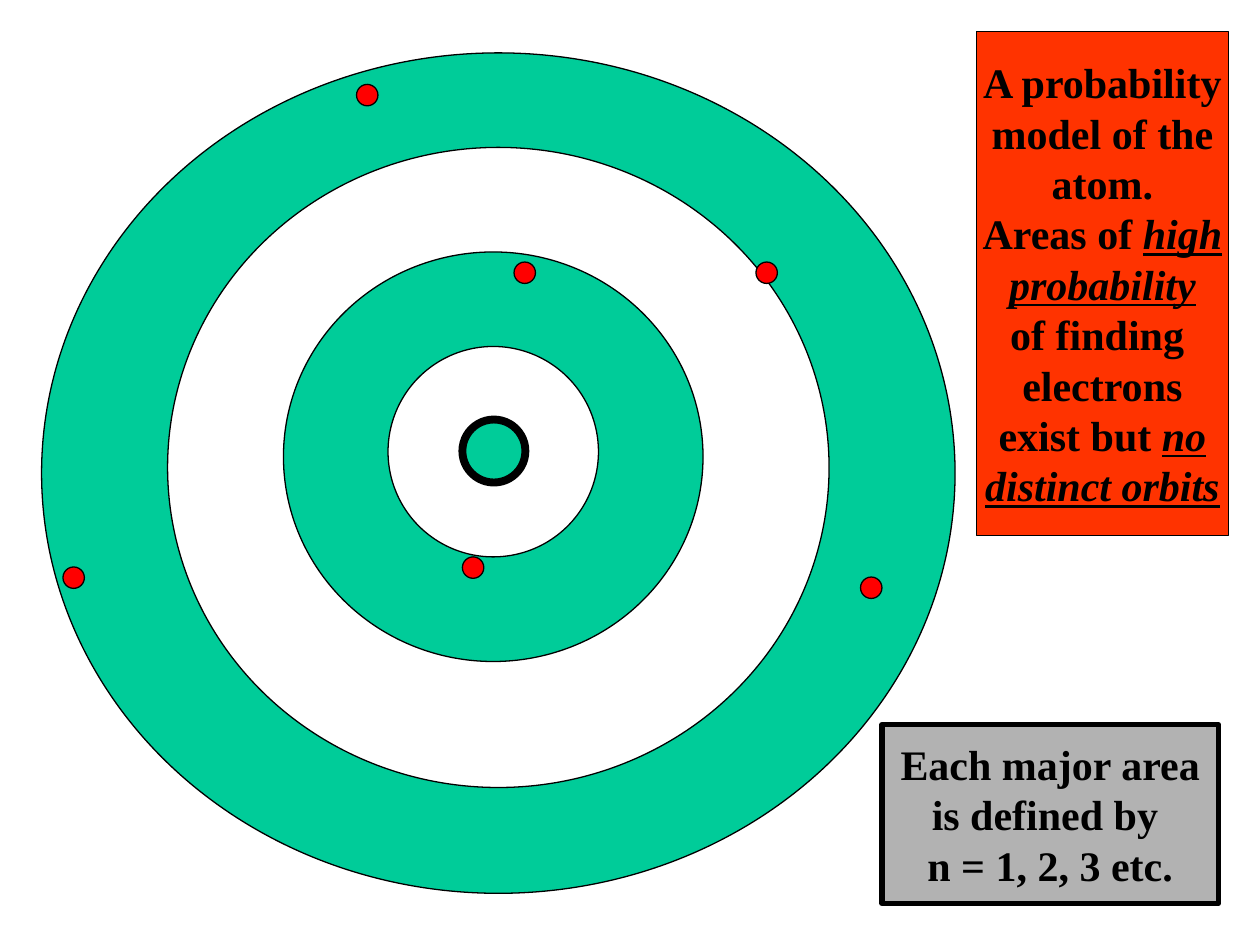
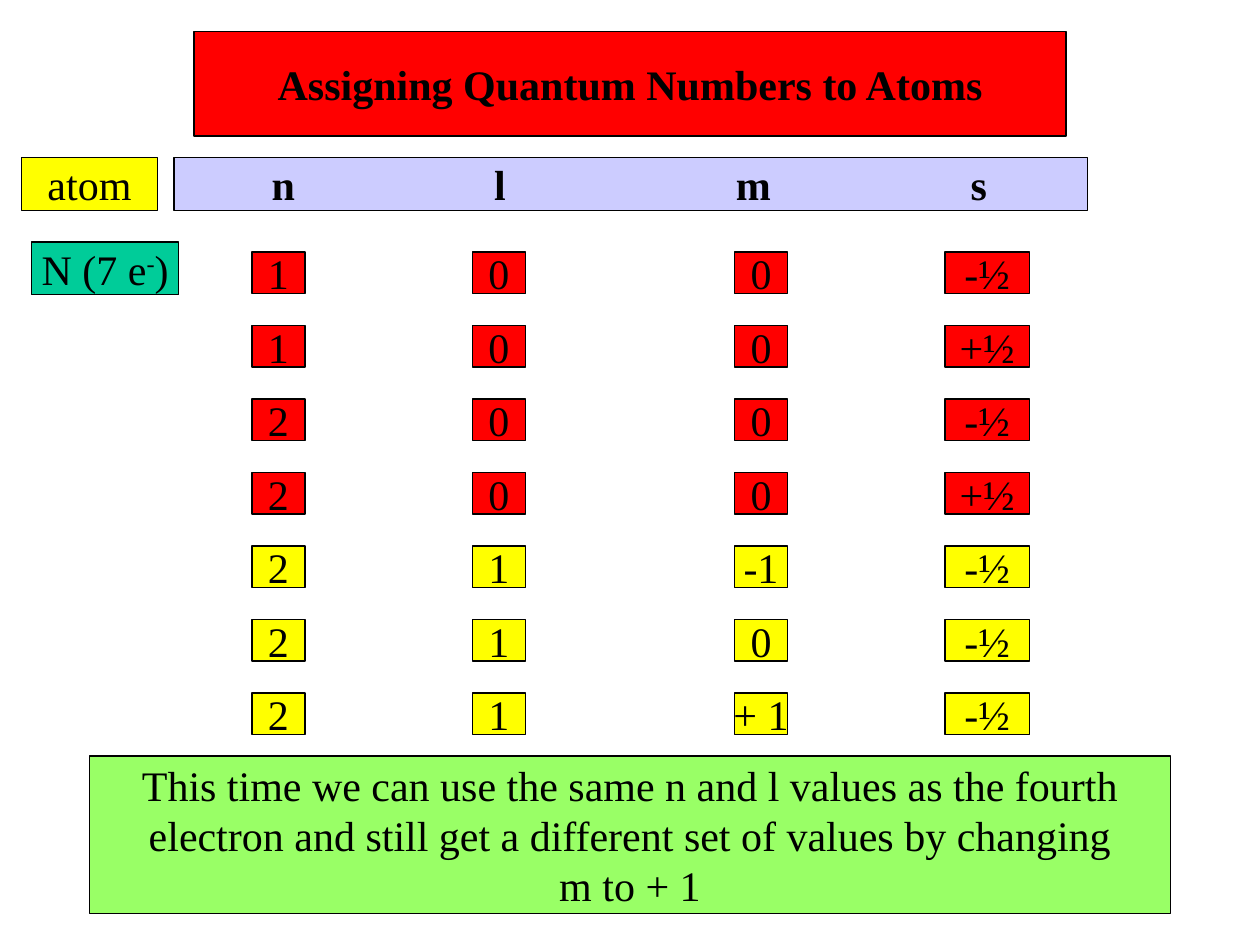
from dataclasses import dataclass

from lxml import etree
from pptx import Presentation
from pptx.dml.color import RGBColor
from pptx.enum.shapes import MSO_SHAPE
from pptx.enum.text import MSO_ANCHOR, MSO_AUTO_SIZE, PP_ALIGN
from pptx.oxml.ns import qn
from pptx.util import Inches, Pt

OVAL, RECTANGLE = MSO_SHAPE.OVAL, MSO_SHAPE.RECTANGLE
MIDDLE, NO_FIT = MSO_ANCHOR.MIDDLE, MSO_AUTO_SIZE.NONE
CENTER, LEFT = PP_ALIGN.CENTER, PP_ALIGN.LEFT
TITLE_ONLY, BLANK = 5, 6  # layouts of the default template


@dataclass(frozen=True)
class Theme:
    font: str = "Times New Roman"
    size: float = 24
    thin: float = 0.75
    medium: float = 3
    thick: float = 4.5
    black: str = "000000"
    white: str = "FFFFFF"
    teal: str = "00CC99"
    red: str = "FF0000"
    orange: str = "FF3300"
    yellow: str = "FFFF00"
    gray: str = "B2B2B2"
    lavender: str = "CCCCFF"
    green: str = "99FF66"


class Deck:
    """Holds the style and the current slide."""

    def __init__(self, theme):
        self.theme = theme
        self.deck = Presentation()
        self.deck.slide_width = Inches(10)
        self.deck.slide_height = Inches(7.5)
        self.page = None

    def new_page(self, layout):
        self.page = self.deck.slides.add_slide(self.deck.slide_layouts[layout])

    def paint(self, shape, fill, width):
        """Give a shape a flat fill and a black outline."""
        shape.shadow.inherit = False
        shape.fill.solid()
        shape.fill.fore_color.rgb = RGBColor.from_string(fill)
        shape.line.color.rgb = RGBColor.from_string(self.theme.black)
        shape.line.width = Pt(width)

    def set_text(self, box, lines, bold=False, align=CENTER, wrap=False):
        """Fill in lines; each is a string or a list of (text, style) spans."""
        frame = box.text_frame
        frame.word_wrap = wrap
        frame.auto_size = NO_FIT
        frame.vertical_anchor = MIDDLE
        frame.margin_left = frame.margin_right = Inches(0.1)
        frame.margin_top = frame.margin_bottom = Inches(0.05)
        for number, line in enumerate(lines):
            para = frame.add_paragraph() if number else frame.paragraphs[0]
            para.alignment = align
            spans = [(line, "")] if isinstance(line, str) else line
            for text, style in spans:
                span = para.add_run()
                span.text = text
                font = span.font
                font.name = self.theme.font
                font.size = Pt(self.theme.size)
                font.bold = bold
                font.color.rgb = RGBColor.from_string(self.theme.black)
                if style == "stress":
                    font.italic = font.underline = True
                elif style == "super":
                    span._r.get_or_add_rPr().set("baseline", "30000")

    def title(self, text, left, top, width, height, fill):
        box = self.page.shapes.title
        box.left, box.top = Inches(left), Inches(top)
        box.width, box.height = Inches(width), Inches(height)
        self.paint(box, fill, self.theme.thin)
        self.set_text(box, [text], bold=True)

    def box(self, lines, left, top, width, height, fill, line=None, **text_style):
        box = self.page.shapes.add_shape(
            RECTANGLE, Inches(left), Inches(top), Inches(width), Inches(height))
        self.paint(box, fill, line or self.theme.thin)
        self.set_text(box, lines, **text_style)
        return box

    def column_header(self, labels, centers, left, top, width, height, fill):
        """A band whose labels stand on centred tab stops."""
        text = "".join("\t" + label for label in labels)
        box = self.box([text], left, top, width, height, fill,
                       bold=True, align=LEFT, wrap=True)
        properties = box.text_frame.paragraphs[0]._p.get_or_add_pPr()
        stops = etree.SubElement(properties, qn("a:tabLst"))
        for center in centers:
            position = Inches(center - left) - box.text_frame.margin_left
            etree.SubElement(stops, qn("a:tab"), pos=str(position), algn="ctr")

    def group(self):
        return self.page.shapes.add_group_shape()

    def oval(self, group, left, top, width, height, fill, line=None):
        shape = group.shapes.add_shape(
            OVAL, Inches(left), Inches(top), Inches(width), Inches(height))
        self.paint(shape, fill, line or self.theme.thin)


theme = Theme()
slides = Deck(theme)

# Slide 1: probability model of the atom
slides.new_page(BLANK)
atom = slides.group()

# Shells from the outside in, then the nucleus
shells = [
    (0.33, 0.42, 7.25, 6.67),
    (1.33, 1.17, 5.25, 5.08),
    (2.25, 2, 3.33, 3.25),
    (3.08, 2.75, 1.67, 1.67),
]
for index, place in enumerate(shells):
    slides.oval(atom, *place, theme.white if index % 2 else theme.teal)
slides.oval(atom, 3.67, 3.33, 0.5, 0.5, theme.teal, theme.thick)

# Electrons
electrons = [(2.83, 0.67), (0.5, 4.5), (3.67, 4.42),
             (4.08, 2.08), (6, 2.08), (6.83, 4.58)]
for left, top in electrons:
    slides.oval(atom, left, top, 0.17, 0.17, theme.red)

# Explanations
slides.box([
    "A probability",
    "model of the",
    "atom.",
    [("Areas of ", ""), ("high", "stress")],
    [("probability", "stress")],
    "of finding ",
    "electrons",
    [("exist but ", ""), ("no", "stress")],
    [("distinct orbits", "stress")],
], 7.75, 0.25, 2, 4, theme.orange, bold=True)
slides.box(["Each major area", "is defined by ", "n = 1, 2, 3 etc."],
           7, 5.75, 2.67, 1.42, theme.gray, theme.medium, bold=True)

# Slide 2: quantum numbers of nitrogen
slides.new_page(TITLE_ONLY)
slides.title("Assigning Quantum Numbers to Atoms", 1.54, 0.25, 6.92, 0.83, theme.red)

# Headings and atom label
slides.column_header(["n", "l", "m", "s"], [2.25, 3.97, 5.98, 7.77],
                     1.38, 1.25, 7.25, 0.42, theme.lavender)
slides.box(["atom"], 0.17, 1.25, 1.08, 0.42, theme.yellow)
slides.box([[("N (7 e", ""), ("-", "super"), (")", "")]],
           0.25, 1.92, 1.17, 0.42, theme.teal)

# One row of values for each electron, coloured by sublevel
columns = [(2, 0.42), (3.75, 0.42), (5.83, 0.42), (7.5, 0.67)]
quantum_numbers = [
    ("1", "0", "0", "-½"),
    ("1", "0", "0", "+½"),
    ("2", "0", "0", "-½"),
    ("2", "0", "0", "+½"),
    ("2", "1", "-1", "-½"),
    ("2", "1", "0", "-½"),
    ("2", "1", "+ 1", "-½"),
]
row_step = 3.5 / (len(quantum_numbers) - 1)
for row, values in enumerate(quantum_numbers):
    fill = theme.red if values[1] == "0" else theme.yellow
    for (left, width), value in zip(columns, values):
        slides.box([value], left, 2 + row * row_step, width, 0.33, fill)

# Closing remark
slides.box([
    "This time we can use the same n and l values as the fourth",
    "electron and still get a different set of values by changing",
    "m to + 1",
], 0.71, 6, 8.58, 1.25, theme.green)

slides.deck.save("out.pptx")
